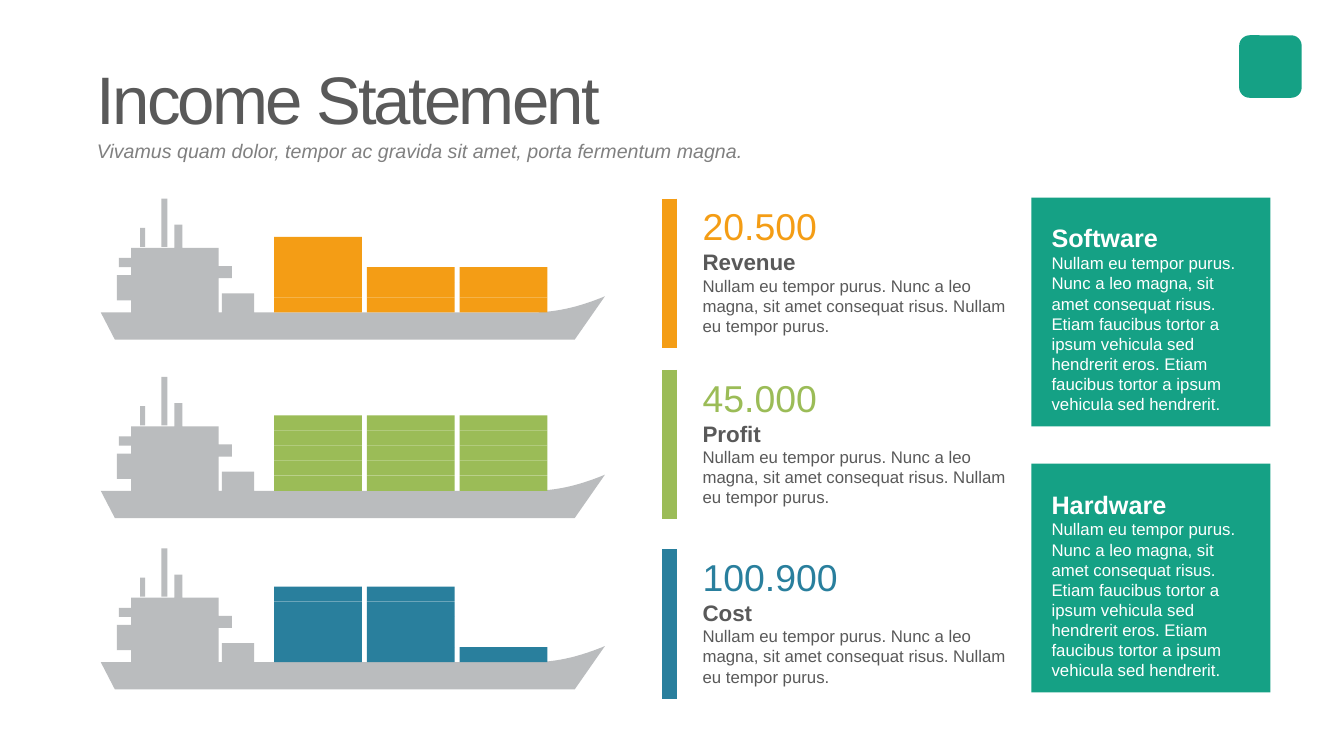
from dataclasses import dataclass

from lxml import etree
from pptx import Presentation
from pptx import util as u
from pptx.dml.color import RGBColor
from pptx.enum import shapes, text
from pptx.oxml.ns import qn

PX = 9144
Point = tuple[float, float]


@dataclass(frozen=True)
class Theme:
    font: str = "Arial"
    teal: str = "15A185"
    orange: str = "F49D15"
    green: str = "9BBC57"
    blue: str = "297F9D"
    hull: str = "BABCBE"
    dark: str = "595959"
    muted: str = "808080"
    white: str = "FFFFFF"
    title: float = 48
    subtitle: float = 14
    figure: float = 26.7
    label: float = 16
    heading: float = 18
    body: float = 12
    bar: float = 11


@dataclass(frozen=True)
class Entry:
    figure: str
    label: str
    color: str
    ship_top: int
    text_top: int
    stacks: tuple[int, int, int]


@dataclass(frozen=True)
class Panel:
    heading: str
    top: int


THEME = Theme()
ENTRIES = (
    Entry("20.500", "Revenue", THEME.orange, 197, 197, (5, 3, 3)),
    Entry("45.000", "Profit", THEME.green, 374, 367, (5, 5, 5)),
    Entry("100.900", "Cost", THEME.blue, 544, 545, (5, 5, 1)),
)
PANELS = (Panel("Software", 196), Panel("Hardware", 460))
ENTRY_BODY = (
    "Nullam eu tempor purus. Nunc a leo magna, sit amet consequat risus. "
    "Nullam eu tempor purus."
)
PANEL_BODY = (
    "Nullam eu tempor purus. Nunc a leo magna, sit amet consequat risus. "
    "Etiam faucibus tortor a ipsum vehicula sed hendrerit eros. "
    "Etiam faucibus tortor a ipsum vehicula sed hendrerit."
)

SHIP_LEFT = 100
DECK = 113
BOW = ((500, 97), (478, 106), (455, 113), (427, DECK))
KEEL = [(0, DECK), (14, 140), (470, 140)]
SUPERSTRUCTURE = [
    (152, DECK), (152, 94), (120, 94), (120, DECK), (117, DECK),
    (117, 79), (130, 79), (130, 67), (117, 67), (117, 49),
    (81, 49), (81, 26), (73, 26), (73, 49), (30, 49),
    (30, 59), (18, 59), (18, 68), (30, 68), (30, 76),
    (16, 76), (16, 101), (30, 101), (30, DECK),
]
MASTS = (
    [(39, 48), (44, 48), (44, 29), (39, 29)],
    [(60, 48), (66, 48), (66, 0), (60, 0)],
)
CONTAINER_WIDTH, CONTAINER_HEIGHT = 87, 15
STACK_LEFT, STACK_STEP = 172, 92


def px(*lengths: int) -> list[u.Emu]:
    return [u.Emu(length * PX) for length in lengths]


def rgb(color: str) -> RGBColor:
    return RGBColor.from_string(color)


def paint(shape, color: str) -> None:
    shape.shadow.inherit = False
    shape.fill.solid()
    shape.fill.fore_color.rgb = rgb(color)
    shape.line.fill.background()


def add_block(parent, left: int, top: int, width: int, height: int, color: str,
              kind=shapes.MSO_SHAPE.RECTANGLE):
    block = parent.add_shape(kind, *px(left, top, width, height))
    paint(block, color)
    return block


def prepare_frame(frame, inset_x: int, inset_y: int, wrap: bool = True) -> None:
    frame.margin_left = frame.margin_right = px(inset_x)[0]
    frame.margin_top = frame.margin_bottom = px(inset_y)[0]
    frame.word_wrap = wrap
    frame.auto_size = text.MSO_AUTO_SIZE.SHAPE_TO_FIT_TEXT
    frame.vertical_anchor = text.MSO_ANCHOR.TOP


def write(frame, words: str, *, size: float, color: str, bold: bool = False,
          italic: bool = False, line_spacing: float | None = None,
          tracking: int | None = None) -> None:
    first = frame.paragraphs[0]
    paragraph = frame.add_paragraph() if first.runs else first
    paragraph.alignment = text.PP_ALIGN.LEFT
    if line_spacing:
        paragraph.line_spacing = line_spacing
    run = paragraph.add_run()
    run.text = words
    run.font.name = THEME.font
    run.font.size = u.Pt(size)
    run.font.color.rgb = rgb(color)
    run.font.bold = bold
    run.font.italic = italic
    if tracking:
        run.font._element.set("spc", str(tracking))


def curve(start: Point, pull: Point, push: Point, end: Point,
          steps: int = 16) -> list[Point]:
    return [
        tuple((1 - t) ** 3 * a + 3 * t * (1 - t) ** 2 * b
              + 3 * t * t * (1 - t) * c + t ** 3 * d
              for a, b, c, d in zip(start, pull, push, end))
        for t in (step / steps for step in range(steps + 1))
    ]


def add_ship(slide, entry: Entry) -> None:
    ship = slide.shapes.add_group_shape().shapes
    outlines = (KEEL + curve(*BOW) + SUPERSTRUCTURE, *MASTS)
    builder = None
    for outline in outlines:
        start, *rest = [((SHIP_LEFT + x) * PX, (entry.ship_top + y) * PX)
                        for x, y in outline]
        if builder is None:
            builder = ship.build_freeform(*start)
        else:
            builder.move_to(*start)
        builder.add_line_segments(rest, close=True)
    paint(builder.convert_to_shape(), THEME.hull)
    for column, count in enumerate(entry.stacks):
        for level in range(1, count + 1):
            add_block(ship, SHIP_LEFT + STACK_LEFT + column * STACK_STEP,
                      entry.ship_top + DECK - level * CONTAINER_HEIGHT,
                      CONTAINER_WIDTH, CONTAINER_HEIGHT, entry.color)


def add_entry(slide, entry: Entry) -> None:
    add_ship(slide, entry)
    summary = slide.shapes.add_textbox(*px(687, entry.text_top, 333, 142)).text_frame
    prepare_frame(summary, 10, 5)
    write(summary, entry.figure, size=THEME.figure, color=entry.color)
    write(summary, entry.label, size=THEME.label, color=THEME.dark, bold=True)
    write(summary, ENTRY_BODY, size=THEME.body, color=THEME.dark)
    bar = slide.shapes.add_connector(
        shapes.MSO_CONNECTOR.STRAIGHT,
        *px(664, entry.text_top, 664, entry.text_top + 148))
    bar.line.color.rgb = rgb(entry.color)
    bar.line.width = u.Pt(THEME.bar)
    etree.SubElement(bar._element.spPr, qn("a:effectLst"))


def add_panel(slide, panel: Panel) -> None:
    frame = add_block(slide.shapes, 1023, panel.top, 237, 227, THEME.teal).text_frame
    prepare_frame(frame, 20, 10)
    write(frame, panel.heading, size=THEME.heading, color=THEME.white,
          bold=True, line_spacing=1.5)
    write(frame, PANEL_BODY, size=THEME.body, color=THEME.white)


def main() -> None:
    deck = Presentation()
    deck.slide_width, deck.slide_height = px(1333, 750)
    slide = deck.slides.add_slide(deck.slide_layouts[6])
    add_block(slide.shapes, 1229, 35, 62, 62, THEME.teal,
              shapes.MSO_SHAPE.ROUNDED_RECTANGLE)
    title = slide.shapes.add_textbox(*px(89, 54, 516, 88)).text_frame
    prepare_frame(title, 7, 3, wrap=False)
    write(title, "Income Statement", size=THEME.title, color=THEME.dark, tracking=-200)
    for entry in ENTRIES:
        add_entry(slide, entry)
    subtitle = slide.shapes.add_textbox(*px(89, 134, 700, 30)).text_frame
    prepare_frame(subtitle, 7, 3)
    subtitle.vertical_anchor = text.MSO_ANCHOR.MIDDLE
    write(subtitle,
          "Vivamus quam dolor, tempor ac gravida sit amet, porta fermentum magna.",
          size=THEME.subtitle, color=THEME.muted, italic=True)
    for panel in PANELS:
        add_panel(slide, panel)
    deck.save("out.pptx")


if __name__ == "__main__":
    main()
